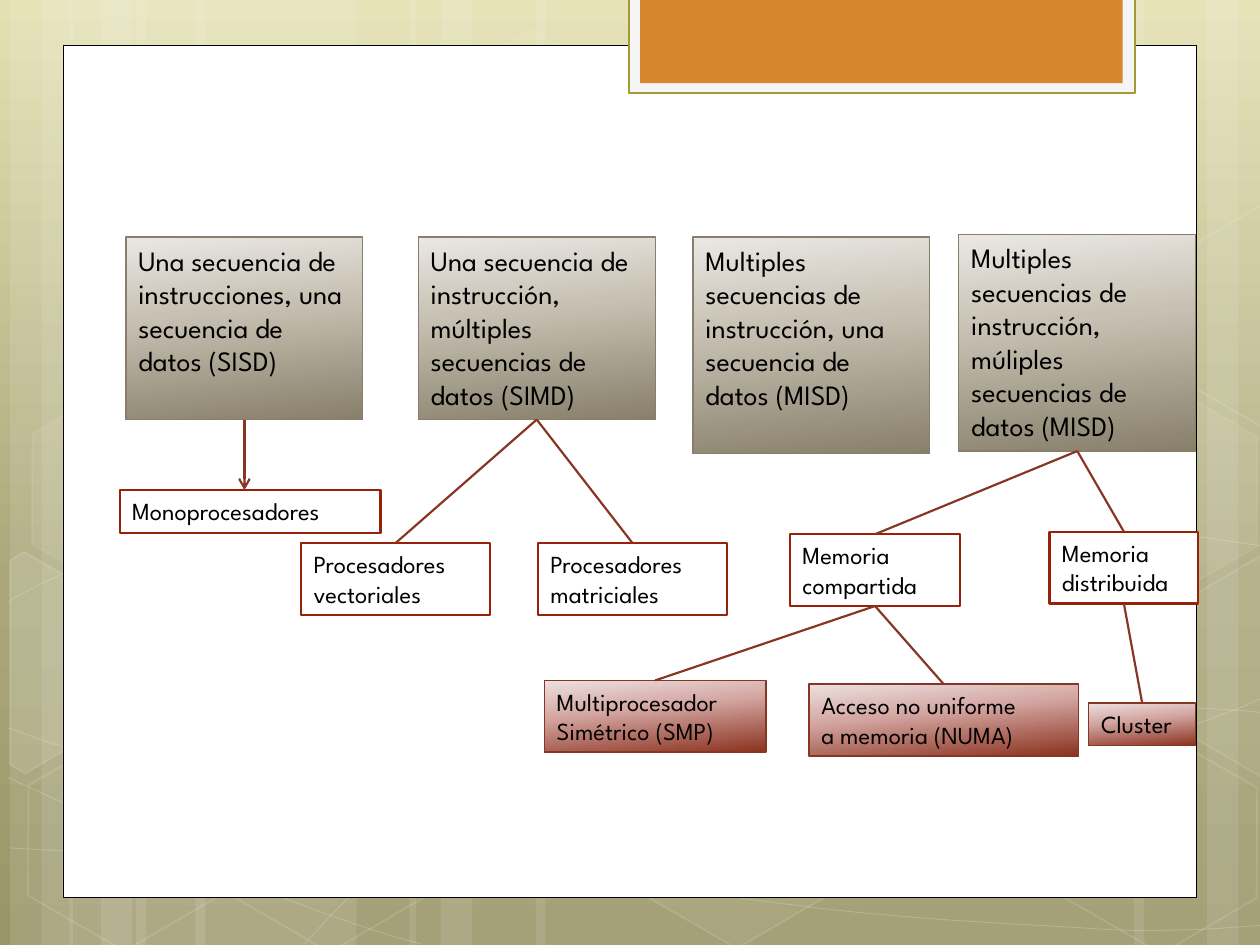
from copy import deepcopy

from pptx import Presentation, util as u
from pptx.dml.color import RGBColor
from pptx.enum import shapes, text
from pptx.oxml import parse_xml
from pptx.oxml.ns import nsdecls, qn

FONT = "League Spartan"
COLUMNS, ROWS = 10, 7.5
WHITE = RGBColor(0xFF, 0xFF, 0xFF)
BLACK = RGBColor(0x00, 0x00, 0x00)
PALE = RGBColor(0xF5, 0xF5, 0xF5)
OLIVE = RGBColor(0xA3, 0x9A, 0x36)
ORANGE = RGBColor(0xD6, 0x86, 0x2D)
TAUPE = RGBColor(0x87, 0x7F, 0x6C)
RED = RGBColor(0x97, 0x21, 0x09)
RUST = RGBColor(0x87, 0x36, 0x24)
BACKDROP = [(0, RGBColor(0xE4, 0xE0, 0xB2)), (0.62, RGBColor(0xAB, 0xA7, 0x7B)),
            (1, RGBColor(0x9A, 0x96, 0x69))]
STONE = [(0, RGBColor(0xEA, 0xE8, 0xE5)), (0.4, RGBColor(0xC8, 0xC1, 0xB3)),
         (1, RGBColor(0x88, 0x80, 0x6B))]
BRICK = [(0, RGBColor(0xEC, 0xE1, 0xE0)), (0.4, RGBColor(0xD4, 0xA7, 0xA3)),
         (1, RGBColor(0x8C, 0x33, 0x1F))]

BANDS = [(1.08, 1.75), (0.08, 0.5), (0.33, 0.83), (1.55, 1.75), (0.55, 0.5), (0.8, 0.83),
         (7.33, 1.75), (9.58, 0.5), (9, 0.83), (4.25, 3.08), (3.25, 0.5), (3.5, 0.83)]
CURVES = [
    [(0.07, 6.73), (0.61, 6.76), (1.15, 6.79), (1.9, 6.78), (2.65, 6.77), (3.58, 6.75),
     (4.58, 6.65), (5.58, 6.55), (7, 6.36), (7.92, 6.17), (8.83, 5.98), (9.77, 5.68),
     (10.07, 5.51)],
    [(0.07, 4.77), (0.36, 4.61), (0.65, 4.46), (1.21, 4.31), (1.78, 4.16), (2.59, 3.94),
     (3.47, 3.87), (4.36, 3.8), (5.44, 3.79), (6.54, 3.87), (7.64, 3.95), (9.47, 4.26),
     (10.07, 4.34)],
    [(0.06, 6.17), (1.27, 6.72), (2.47, 7.27), (3.34, 7.49)],
    [(0.07, 5.78), (0.38, 5.89), (0.7, 6), (1.28, 6.16), (1.86, 6.31), (2.73, 6.56),
     (3.57, 6.73), (4.4, 6.9), (5.45, 7.08), (6.28, 7.18), (7.11, 7.29), (8, 7.33),
     (8.53, 7.36), (9.05, 7.4), (9.19, 7.38), (9.45, 7.38), (9.71, 7.37), (9.89, 7.35),
     (10.07, 7.34)],
    [(2.42, 7.49), (2.6, 7.29), (2.78, 7.09), (3.02, 6.91), (3.26, 6.73), (3.6, 6.53),
     (3.88, 6.39), (4.16, 6.25), (4.33, 6.19), (4.7, 6.09), (5.06, 5.99), (5.73, 5.85),
     (6.08, 5.78), (6.44, 5.71), (6.49, 5.71), (6.8, 5.69), (7.11, 5.66), (7.6, 5.63),
     (7.94, 5.62), (8.29, 5.61), (8.86, 5.62), (8.86, 5.62), (9.1, 5.62), (9.3, 5.62),
     (9.53, 5.62), (9.71, 5.63), (9.88, 5.64), (10.06, 5.66)],
]
HEXAGONS = [(3.34, 0.36, 4, 8), (4.97, 5.89, 6, 12), (0.11, 5.91, 0, 12),
            (0.14, 3.12, 7, 8), (1.74, 5.92, 0, 12), (7.53, 4.53, 10, 12),
            (8.34, 5.93, 0, 12), (8.34, 3.14, 7, 8)]
CUT_HEXAGONS = [
    ([(0.08, 4.45), (0.19, 4.38), (0.96, 4.82), (0.95, 5.7), (0.2, 6.14), (0.08, 6.07)], 10),
    ([(9.26, 4.85), (10.01, 4.41), (10.09, 4.46), (10.09, 6.13), (10.02, 6.17),
      (9.26, 5.73)], 4),
    ([(9.26, 2.07), (10.01, 1.63), (10.1, 1.68), (10.09, 3.35), (10.02, 3.39),
      (9.26, 2.95)], 0),
]

CLASSES = [
    ("SISD", 1, 1.88, 1.45, "Una secuencia de instrucciones, una secuencia de datos (SISD)"),
    ("SIMD", 3.32, 1.88, 1.45,
     "Una secuencia de instrucción, múltiples secuencias de datos (SIMD)"),
    ("MISD", 5.5, 1.88, 1.72,
     "Multiples secuencias de instrucción, una secuencia de datos (MISD)"),
    ("MIMD", 7.61, 1.86, 1.72,
     "Multiples secuencias de instrucción, múliples secuencias de datos (MISD)"),
]
KINDS = [
    ("mono", 0.95, 3.89, 2.07, 0.34, "Monoprocesadores"),
    ("vector", 2.39, 4.31, 1.5, 0.57, "Procesadores\nvectoriales"),
    ("matrix", 4.27, 4.31, 1.5, 0.57, "Procesadores\nmatriciales"),
    ("shared", 6.27, 4.24, 1.35, 0.57, "Memoria\ncompartida"),
    ("distributed", 8.33, 4.22, 1.18, 0.57, "Memoria\ndistribuida"),
]
SYSTEMS = [
    ("SMP", 4.32, 5.4, 1.76, 0.57, "Multiprocesador\nSimétrico (SMP)"),
    ("NUMA", 6.42, 5.43, 2.14, 0.57, "Acceso no uniforme\na memoria (NUMA)"),
    ("cluster", 8.64, 5.58, 0.85, 0.34, "Cluster"),
]
LINKS = [("SIMD", "vector"), ("SIMD", "matrix"), ("MIMD", "shared"), ("MIMD", "distributed"),
         ("distributed", "cluster"), ("shared", "SMP"), ("shared", "NUMA")]


class Diagram:
    def __init__(self, deck):
        self.layout = deck.slide_layouts[6]
        self.slide = deck.slides.add_slide(self.layout)
        self.shapes = self.slide.shapes
        self.column = deck.slide_width / COLUMNS
        self.row = deck.slide_height / ROWS

    def place(self, x, y):
        return u.Emu(round(x * self.column)), u.Emu(round(y * self.row))

    def gradient(self, fill, owner, stops, angle):
        fill.gradient()
        fill.gradient_angle = 360 - angle
        stop_list = owner.find(".//" + qn("a:gsLst"))
        stop_list.append(deepcopy(stop_list[-1]))
        for stop, (position, color) in zip(fill.gradient_stops, stops):
            stop.position = position
            stop.color.rgb = color

    def fade(self, paint, percent):
        color = paint.find(qn("a:solidFill")).find(qn("a:srgbClr"))
        color.append(parse_xml(f'<a:alpha {nsdecls("a")} val="{percent * 1000}"/>'))

    def style(self, shape, fill=None, line=None, weight=1, fill_alpha=100, line_alpha=100):
        shape.shadow.inherit = False
        properties = shape.element.spPr
        if isinstance(fill, list):
            self.gradient(shape.fill, properties, fill, 84)
        elif fill is None:
            shape.fill.background()
        else:
            shape.fill.solid()
            shape.fill.fore_color.rgb = fill
            if fill_alpha < 100:
                self.fade(properties, fill_alpha)
        if line is None:
            shape.line.fill.background()
        else:
            shape.line.color.rgb = line
            shape.line.width = u.Pt(weight)
            if line_alpha < 100:
                self.fade(properties.find(qn("a:ln")), line_alpha)
        return shape

    def panel(self, x, y, width, height, kind=shapes.MSO_SHAPE.RECTANGLE, **look):
        shape = self.shapes.add_shape(kind, *self.place(x, y), *self.place(width, height))
        return self.style(shape, **look)

    def hexagon(self, x, y, fill_alpha, line_alpha):
        shape = self.panel(x, y, 1.75, 1.52, shapes.MSO_SHAPE.HEXAGON,
                           fill=WHITE if fill_alpha else None, line=WHITE,
                           fill_alpha=fill_alpha, line_alpha=line_alpha)
        shape.adjustments[0] = 0.285
        shape.rotation = 30

    def outline(self, points, close, **look):
        start, *rest = [self.place(*point) for point in points]
        builder = self.shapes.build_freeform(*start)
        builder.add_line_segments(rest, close=close)
        return self.style(builder.convert_to_shape(), line=WHITE, **look)

    def curve(self, points, **look):
        shape = self.outline(points, False, **look)
        segments = list(shape.element.iter(qn("a:lnTo")))
        for first in range(0, len(segments), 3):
            bend = parse_xml(f'<a:cubicBezTo {nsdecls("a")}/>')
            segments[first].addprevious(bend)
            for segment in segments[first:first + 3]:
                bend.append(segment[0])
                segment.getparent().remove(segment)

    def move_to_layout(self):
        for placeholder in list(self.layout.placeholders):
            placeholder.element.getparent().remove(placeholder.element)
        for shape in list(self.shapes):
            self.layout.shapes.element.append(shape.element)

    def box(self, x, y, width, height, words, size, **look):
        shape = self.panel(x, y, width, height, **look)
        frame = shape.text_frame
        frame.text = words
        frame.word_wrap = True
        frame.vertical_anchor = text.MSO_ANCHOR.TOP
        for para in frame.paragraphs:
            para.alignment = text.PP_ALIGN.LEFT
            for span in para.runs:
                span.font.name = FONT
                span.font.size = u.Pt(size)
                span.font.color.rgb = BLACK
        return shape

    def link(self, parent, child, arrow=False):
        line = self.shapes.add_connector(shapes.MSO_CONNECTOR.STRAIGHT, 0, 0, 0, 0)
        line.begin_connect(parent, 2)
        if arrow:
            line.end_x, line.end_y = line.begin_x, child.top
        else:
            line.end_connect(child, 0)
        line.line.color.rgb = RUST
        line.line.width = u.Pt(1.25)
        properties = line.element.spPr
        if arrow:
            properties.find(qn("a:ln")).append(
                parse_xml(f'<a:tailEnd {nsdecls("a")} type="arrow"/>'))
        properties.append(parse_xml(f'<a:effectLst {nsdecls("a")}/>'))


def main():
    deck = Presentation()
    deck.slide_width, deck.slide_height = u.Inches(10), u.Inches(7.5)
    diagram = Diagram(deck)
    diagram.gradient(diagram.slide.background.fill, diagram.slide.element, BACKDROP, 90)

    for x, width in BANDS:
        diagram.panel(x, 0, width, ROWS, fill=WHITE, fill_alpha=10)
    for points in CURVES:
        diagram.curve(points, weight=0.5, line_alpha=20)
    for hexagon in HEXAGONS:
        diagram.hexagon(*hexagon)
    for points, alpha in CUT_HEXAGONS:
        diagram.outline(points, True, fill=WHITE if alpha else None,
                        fill_alpha=alpha, line_alpha=12)
    diagram.panel(0.5, 0.36, 9, 6.76, fill=WHITE, line=BLACK, weight=0.5)
    diagram.panel(4.99, -0.02, 4.02, 0.76, fill=PALE, line=OLIVE, weight=1.25)
    diagram.panel(5.08, -0.02, 3.83, 0.68, fill=ORANGE)
    diagram.move_to_layout()

    boxes = {}
    for name, x, y, height, words in CLASSES:
        boxes[name] = diagram.box(x, y, 1.88, height, words, 16,
                                  fill=STONE, line=TAUPE, weight=0.75)
    for name, *spot in KINDS:
        boxes[name] = diagram.box(*spot, 14, fill=WHITE, line=RED, weight=1.25)
    for name, *spot in SYSTEMS:
        boxes[name] = diagram.box(*spot, 14, fill=BRICK, line=RUST, weight=0.75)
    diagram.link(boxes["SISD"], boxes["mono"], arrow=True)
    for parent, child in LINKS:
        diagram.link(boxes[parent], boxes[child])
    deck.save("out.pptx")


if __name__ == "__main__":
    main()
